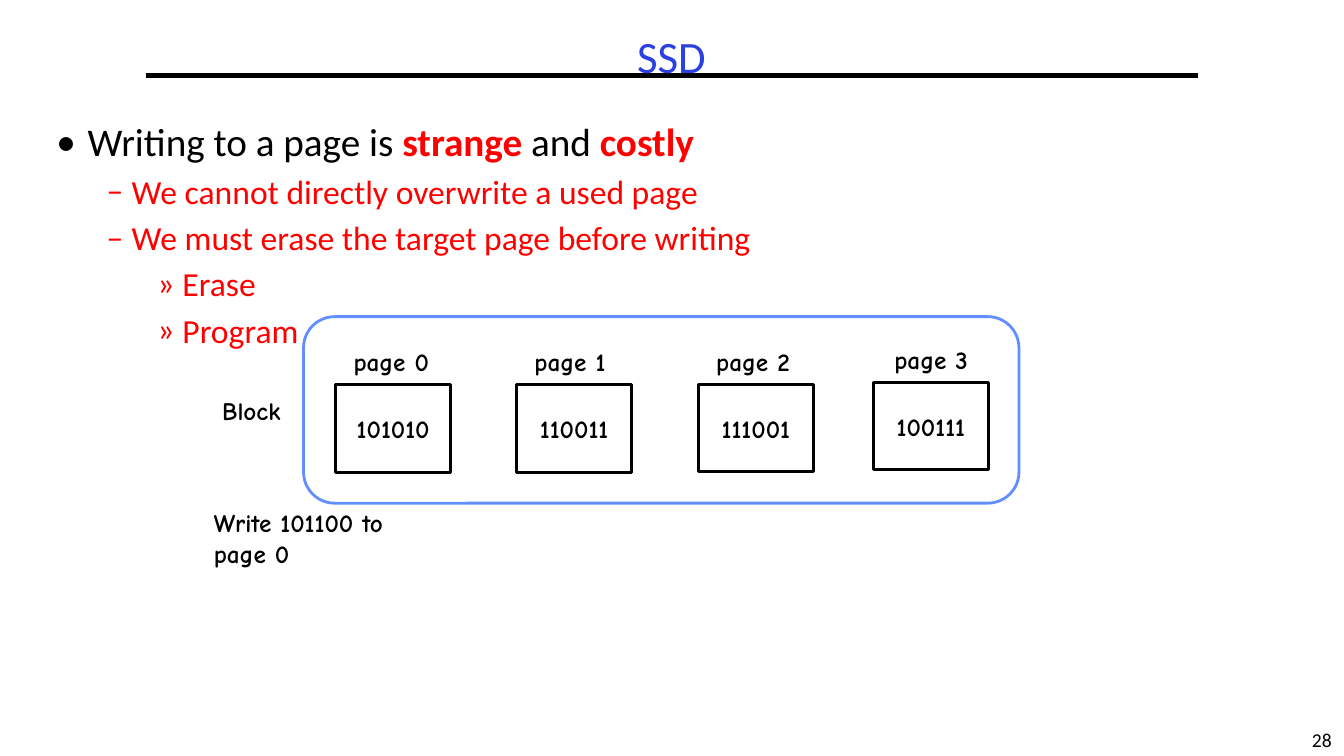
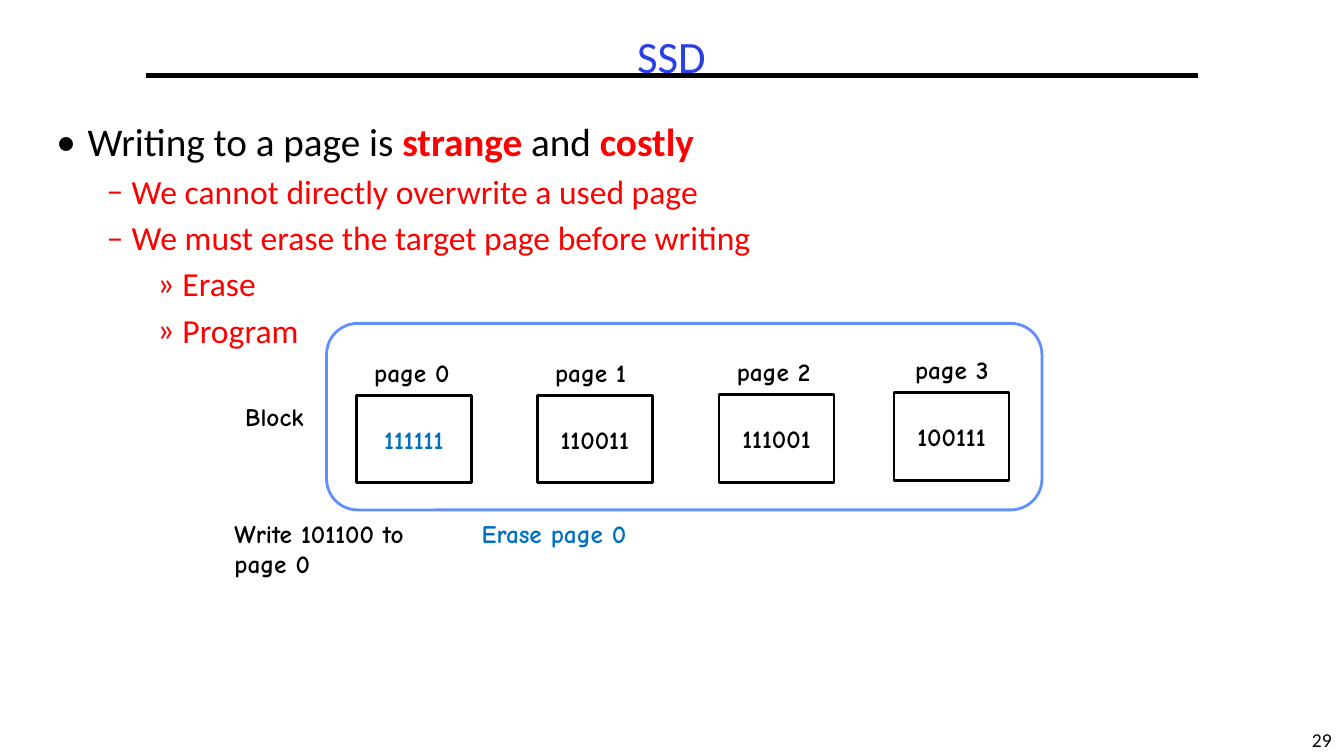
from dataclasses import dataclass
from typing import Optional

from lxml import etree
from pptx import Presentation
from pptx.dml.color import RGBColor
from pptx.enum import shapes, text
from pptx.oxml import ns
from pptx.util import Cm, Pt

BLACK = RGBColor(0x00, 0x00, 0x00)
WHITE = RGBColor(0xFF, 0xFF, 0xFF)
RED = RGBColor(0xFF, 0x00, 0x00)
TITLE_BLUE = RGBColor(0x2A, 0x40, 0xE2)
FRAME_BLUE = RGBColor(0x61, 0x8F, 0xFD)
CHANGE_BLUE = RGBColor(0x00, 0x70, 0xC0)

BODY_FONT = "Calibri"
DRAWING_FONT = "Comic Neue"

PAGE_W, PAGE_H = 2.9, 2.21
LABEL_RISE = 1.09


@dataclass(frozen=True)
class Level:
    bullet: str
    margin: float
    hanging: float
    size: int


@dataclass(frozen=True)
class Bullet:
    level: Level
    runs: tuple[tuple[str, RGBColor, bool], ...]


@dataclass(frozen=True)
class PageSlot:
    """Place of one page, relative to the first, in cm."""
    dx: float
    dy: float
    label_dx: float


@dataclass(frozen=True)
class BlockState:
    """One slide: corners of the block frame and of page 0 in cm, and the page contents."""
    number: int
    frame: tuple[float, float]
    page0: tuple[float, float]
    bits: tuple[str, ...]
    changed: Optional[int] = None
    action: str = ""


TOP = Level("•", 0.79, 0.79, 28)
SUB = Level("–", 1.9, 0.63, 24)
SUBSUB = Level("»", 3.18, 0.63, 24)

BULLETS = (
    Bullet(TOP, (("Writing to a page is ", BLACK, False), ("strange ", RED, True),
                 ("and ", BLACK, False), ("costly", RED, True))),
    Bullet(SUB, (("We cannot directly overwrite a used page", RED, False),)),
    Bullet(SUB, (("We must erase the target page before writing", RED, False),)),
    Bullet(SUBSUB, (("Erase", RED, False),)),
    Bullet(SUBSUB, (("Program", RED, False),)),
)

SLOTS = (
    PageSlot(0, 0, 0.2),
    PageSlot(4.56, 0, 0.2),
    PageSlot(9.14, -0.02, 0.2),
    PageSlot(13.55, -0.07, 0.28),
)

STATES = (
    BlockState(28, (7.65, 7.98), (8.46, 9.7), ("101010", "110011", "111001", "100111")),
    BlockState(29, (8.23, 8.15), (8.98, 9.96), ("111111", "110011", "111001", "100111"),
               changed=0, action="Erase page 0"),
)


def format_run(r, font: str, size: int, color: RGBColor, bold: bool = False) -> None:
    r.font.name = font
    r.font.size = Pt(size)
    r.font.color.rgb = color
    r.font.bold = bold


def add_label(s, content: str, left: float, top: float, width: float, height: float = 1.02,
              color: RGBColor = BLACK, wrap: bool = False):
    sp = s.shapes.add_textbox(Cm(left), Cm(top), Cm(width), Cm(height))
    tf = sp.text_frame
    tf.word_wrap = wrap
    tf.auto_size = text.MSO_AUTO_SIZE.SHAPE_TO_FIT_TEXT
    tf.text = content
    format_run(tf.paragraphs[0].runs[0], DRAWING_FONT, 18, color, True)
    return sp


def add_box(s, kind, left: float, top: float, width: float, height: float, line: RGBColor):
    sp = s.shapes.add_shape(kind, Cm(left), Cm(top), Cm(width), Cm(height))
    sp.shadow.inherit = False
    sp.fill.solid()
    sp.fill.fore_color.rgb = WHITE
    sp.line.color.rgb = line
    sp.line.width = Pt(2)
    return sp


def add_rule(s) -> None:
    cxn = s.shapes.add_connector(shapes.MSO_CONNECTOR.STRAIGHT,
                                 Cm(3.67), Cm(1.9), Cm(30.2), Cm(1.9))
    cxn.line.color.rgb = BLACK
    cxn.line.width = Pt(3)
    etree.SubElement(cxn._element.spPr, ns.qn("a:effectLst"))


def add_slide_number(s, number: int) -> None:
    sp = add_label(s, str(number), 32.77, 18.21, 1.09, 0.84)
    p = sp.text_frame.paragraphs[0]
    p.alignment = text.PP_ALIGN.CENTER
    format_run(p.runs[0], BODY_FONT, 14, BLACK)


def set_title(s, title: str) -> None:
    sp = s.shapes.title
    sp.left, sp.top, sp.width, sp.height = Cm(1.17), Cm(0.76), Cm(31.5), Cm(1.47)
    tf = sp.text_frame
    tf.text = title
    tf.auto_size = text.MSO_AUTO_SIZE.NONE
    tf.vertical_anchor = text.MSO_ANCHOR.MIDDLE
    p = tf.paragraphs[0]
    p.alignment = text.PP_ALIGN.CENTER
    p.line_spacing = 0.9
    format_run(p.runs[0], BODY_FONT, 32, TITLE_BLUE)
    s.shapes._spTree.append(sp._element)  # the title lies over the rule


def format_bullet(p, level: Level) -> None:
    """Set indents, percentage spacing and bullet character."""
    p.line_spacing = 0.9
    pPr = p._p.get_or_add_pPr()
    pPr.set("marL", str(Cm(level.margin)))
    pPr.set("indent", str(-Cm(level.hanging)))
    before = etree.SubElement(pPr, ns.qn("a:spcBef"))
    etree.SubElement(before, ns.qn("a:spcPct"), val="30000")
    etree.SubElement(pPr, ns.qn("a:buFont"), typeface=BODY_FONT)
    etree.SubElement(pPr, ns.qn("a:buChar"), char=level.bullet)


def add_bullets(s, bullets: tuple[Bullet, ...]) -> None:
    tf = s.shapes.add_textbox(Cm(1.17), Cm(2.97), Cm(31.5), Cm(15.32)).text_frame
    tf.word_wrap = True
    for i, bullet in enumerate(bullets):
        p = tf.add_paragraph() if i else tf.paragraphs[0]
        format_bullet(p, bullet.level)
        for content, color, bold in bullet.runs:
            r = p.add_run()
            r.text = content
            format_run(r, BODY_FONT, bullet.level.size, color, bold)


def add_page(s, index: int, bits: str, left: float, top: float, label_dx: float,
             color: RGBColor) -> None:
    sp = add_box(s, shapes.MSO_SHAPE.RECTANGLE, left, top, PAGE_W, PAGE_H, BLACK)
    tf = sp.text_frame
    tf.text = bits
    tf.vertical_anchor = text.MSO_ANCHOR.MIDDLE
    p = tf.paragraphs[0]
    p.alignment = text.PP_ALIGN.CENTER
    format_run(p.runs[0], DRAWING_FONT, 18, color, True)
    add_label(s, f"page {index}", left + label_dx, top - LABEL_RISE, 2.59)


def add_block(s, state: BlockState) -> None:
    frame_x, frame_y = state.frame
    page_x, page_y = state.page0
    add_box(s, shapes.MSO_SHAPE.ROUNDED_RECTANGLE, frame_x, frame_y, 18.03, 4.7, FRAME_BLUE)
    add_label(s, "Block", frame_x - 2.3, frame_y + 1.85, 2.11)
    for i, (slot, bits) in enumerate(zip(SLOTS, state.bits)):
        color = CHANGE_BLUE if i == state.changed else BLACK
        add_page(s, i, bits, page_x + slot.dx, page_y + slot.dy, slot.label_dx, color)
    note_y = page_y + 2.97
    add_label(s, "Write 101100 to page 0", page_x - 3.32, note_y, 4.83, 2.57, wrap=True)
    if state.action:
        add_label(s, state.action, page_x + 2.91, note_y, 4.6, color=CHANGE_BLUE)


def main() -> None:
    prs = Presentation()
    prs.slide_width, prs.slide_height = Cm(33.87), Cm(19.05)
    title_only = prs.slide_layouts[5]
    for state in STATES:
        s = prs.slides.add_slide(title_only)
        add_rule(s)
        add_slide_number(s, state.number)
        set_title(s, "SSD")
        add_block(s, state)
        add_bullets(s, BULLETS)
    prs.save("out.pptx")


if __name__ == "__main__":
    main()
